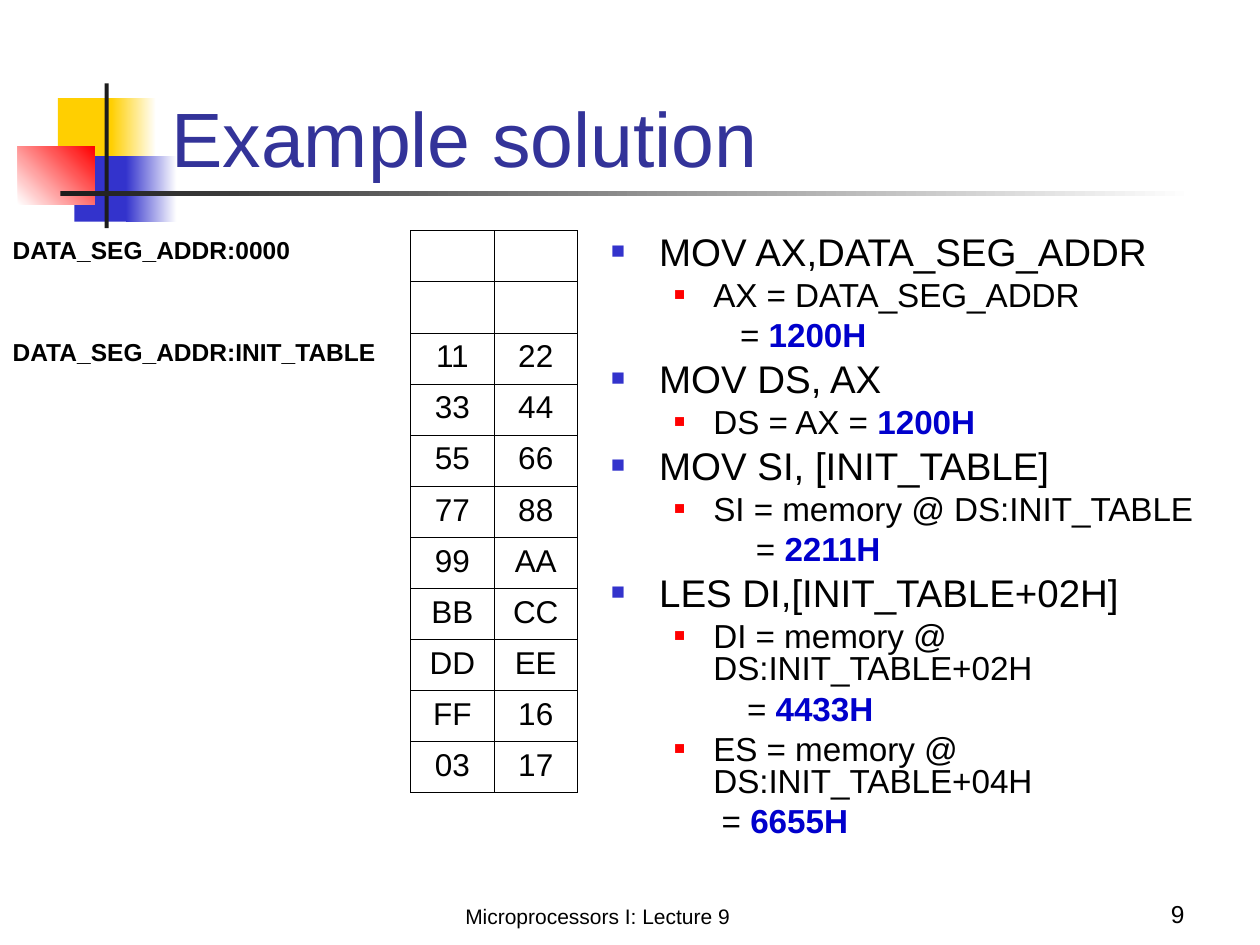
from typing import NamedTuple

from lxml.etree import SubElement
from pptx import Presentation
from pptx.dml.color import RGBColor
from pptx.enum.shapes import MSO_SHAPE as Shape
from pptx.enum.text import MSO_ANCHOR as Anchor, MSO_AUTO_SIZE as Fit, PP_ALIGN as Align
from pptx.oxml.ns import qn
from pptx.util import Cm, Pt

FONT = "Arial"
BLACK, WHITE, NAVY, BLUE = "000000", "FFFFFF", "333399", "0000CC"
GOLD, INDIGO, RED, DARK = "FFCF01", "3333CC", "FF0000", "1C1C1C"


class Block(NamedTuple):
    left: float
    top: float
    width: float
    height: float
    color: str
    fade: str = ""
    angle: int = 0


class Level(NamedTuple):
    size: float
    space: float
    indent: float
    hang: float
    color: str
    scale: int


class Line(NamedTuple):
    level: int
    text: str
    value: str = ""
    indent: float = 0  # set on result lines, which have no bullet


BLOCKS = [
    Block(1.17, 1.98, 1.22, 1.32, GOLD),
    Block(2.24, 1.98, 0.91, 1.32, GOLD, WHITE),
    Block(1.5, 3.15, 1.17, 1.32, INDIGO),
    Block(2.54, 3.15, 1.02, 1.32, INDIGO, WHITE),
    Block(0.36, 2.95, 1.55, 1.17, WHITE, RED, 45),
    Block(2.11, 1.68, 0.08, 2.92, DARK),
    Block(1.22, 3.86, 22.86, 0.1, DARK, WHITE),
]
LEVELS = [
    Level(22, 5.5, 0.97, 0.97, INDIGO, 60),
    Level(19, 4.8, 2.06, 0.79, RED, 55),
]
LINES = [
    Line(0, "MOV AX,DATA_SEG_ADDR"),
    Line(1, "AX = DATA_SEG_ADDR"),
    Line(1, "= ", "1200H", 2.6),
    Line(0, "MOV DS, AX"),
    Line(1, "DS = AX = ", "1200H"),
    Line(0, "MOV SI, [INIT_TABLE]"),
    Line(1, "SI = memory @ DS:INIT_TABLE"),
    Line(1, "= ", "2211H", 2.92),
    Line(0, "LES DI,[INIT_TABLE+02H]"),
    Line(1, "DI = memory @ DS:INIT_TABLE+02H"),
    Line(1, "= ", "4433H", 2.74),
    Line(1, "ES = memory @ DS:INIT_TABLE+04H"),
    Line(1, "= ", "6655H", 2.23),
]
ROWS = [
    ("DATA_SEG_ADDR:0000", "", ""),
    ("", "", ""),
    ("DATA_SEG_ADDR:INIT_TABLE", "11", "22"),
    *[("", *pair.split()) for pair in
      ("33 44", "55 66", "77 88", "99 AA", "BB CC", "DD EE", "FF 16", "03 17")],
]
WIDTHS = (8.28, 1.68, 1.68)
HEIGHT = 1.03


def rgb(code: str) -> RGBColor:
    return RGBColor.from_string(code)


def add_run(para, text: str, size: float, color: str = BLACK, bold: bool = False) -> None:
    run = para.add_run()
    run.text = text
    font = run.font
    font.name, font.size, font.bold = FONT, Pt(size), bold
    font.color.rgb = rgb(color)


def add_block(shapes, block: Block):
    shape = shapes.add_shape(Shape.RECTANGLE, *map(Cm, block[:4]))
    shape.shadow.inherit = False
    shape.line.fill.background()
    if block.fade:
        shape.fill.gradient()
        shape.fill.gradient_angle = block.angle
        for stop, code, place in zip(shape.fill.gradient_stops,
                                     (block.color, block.fade), (0, 1)):
            stop.color.rgb, stop.position = rgb(code), place
    else:
        shape.fill.solid()
        shape.fill.fore_color.rgb = rgb(block.color)
    return shape


def add_frame(shapes, left: float, top: float, width: float, height: float, anchor):
    frame = shapes.add_textbox(*map(Cm, (left, top, width, height))).text_frame
    frame.word_wrap, frame.vertical_anchor = True, anchor
    return frame


def add_edge(cell, side: str, color: str) -> None:
    edge = SubElement(cell._tc.get_or_add_tcPr(), qn(f"a:ln{side}"), w=str(Pt(0.45)))
    SubElement(SubElement(edge, qn("a:solidFill")), qn("a:srgbClr"), val=color)


def fill_cell(cell, text: str, label: bool) -> None:
    for side in "LRTB":
        add_edge(cell, side, WHITE if label and side != "R" else BLACK)
    cell.fill.solid()
    cell.fill.fore_color.rgb = rgb(WHITE)
    if text:
        para = cell.text_frame.paragraphs[0]
        para.alignment = Align.LEFT if label else Align.CENTER
        add_run(para, text, 14 if label else 18, bold=label)


def add_grid(shapes) -> None:
    table = shapes.add_table(len(ROWS), len(WIDTHS), Cm(0), Cm(4.65),
                             Cm(sum(WIDTHS)), Cm(HEIGHT * len(ROWS))).table
    table.first_row = table.horz_banding = False
    for col, width in zip(table.columns, WIDTHS):
        col.width = Cm(width)
    for row, texts in zip(table.rows, ROWS):
        row.height = Cm(HEIGHT)
        for index, text in enumerate(texts):
            fill_cell(row.cells[index], text, index == 0)


def add_line(para, line: Line, first: bool) -> None:
    level = LEVELS[line.level]
    props = para._p.get_or_add_pPr()
    props.set("marL", str(Cm(line.indent or level.indent)))
    props.set("indent", str(0 if line.indent else -Cm(level.hang)))
    if not line.indent:
        SubElement(SubElement(props, qn("a:buClr")), qn("a:srgbClr"), val=level.color)
        SubElement(props, qn("a:buSzPct"), val=str(level.scale * 1000))
        SubElement(props, qn("a:buFont"), typeface=FONT)
        SubElement(props, qn("a:buChar"), char="■")
    para.level, para.line_spacing = line.level, 0.8
    para.space_before = Pt(0 if first else level.space)
    add_run(para, line.text, level.size)
    if line.value:
        add_run(para, line.value, level.size, BLUE, True)


def main() -> None:
    deck = Presentation()
    deck.slide_width, deck.slide_height = Cm(25.4), Cm(19.05)
    slide = deck.slides.add_slide(deck.slide_layouts[5])
    shapes = slide.shapes

    # Corner blocks and rules, with the title in front
    title = shapes.title
    for block in BLOCKS:
        last = add_block(shapes, block)
    last.element.addnext(title.element)
    title.left, title.top, title.width, title.height = map(Cm, (3.2, 0.64, 21.64, 3.18))
    frame = title.text_frame
    frame.vertical_anchor, frame.auto_size = Anchor.BOTTOM, Fit.NONE
    frame.paragraphs[0].alignment = Align.LEFT
    add_run(frame.paragraphs[0], "Example solution", 44, NAVY)

    # Memory table
    add_grid(shapes)

    # Worked steps
    frame = add_frame(shapes, 12.07, 4.65, 13.34, 12.5, Anchor.TOP)
    for index, line in enumerate(LINES):
        para = frame.add_paragraph() if index else frame.paragraphs[0]
        add_line(para, line, index == 0)

    # Footer and slide number
    for left, width, text, size, align in (
            (5.28, 13.54, "Microprocessors I: Lecture 9", 12, Align.CENTER),
            (18.85, 5.28, "9", 14, Align.RIGHT)):
        para = add_frame(shapes, left, 17.58, width, 1.27, Anchor.BOTTOM).paragraphs[0]
        para.alignment = align
        add_run(para, text, size)

    deck.save("out.pptx")


if __name__ == "__main__":
    main()
